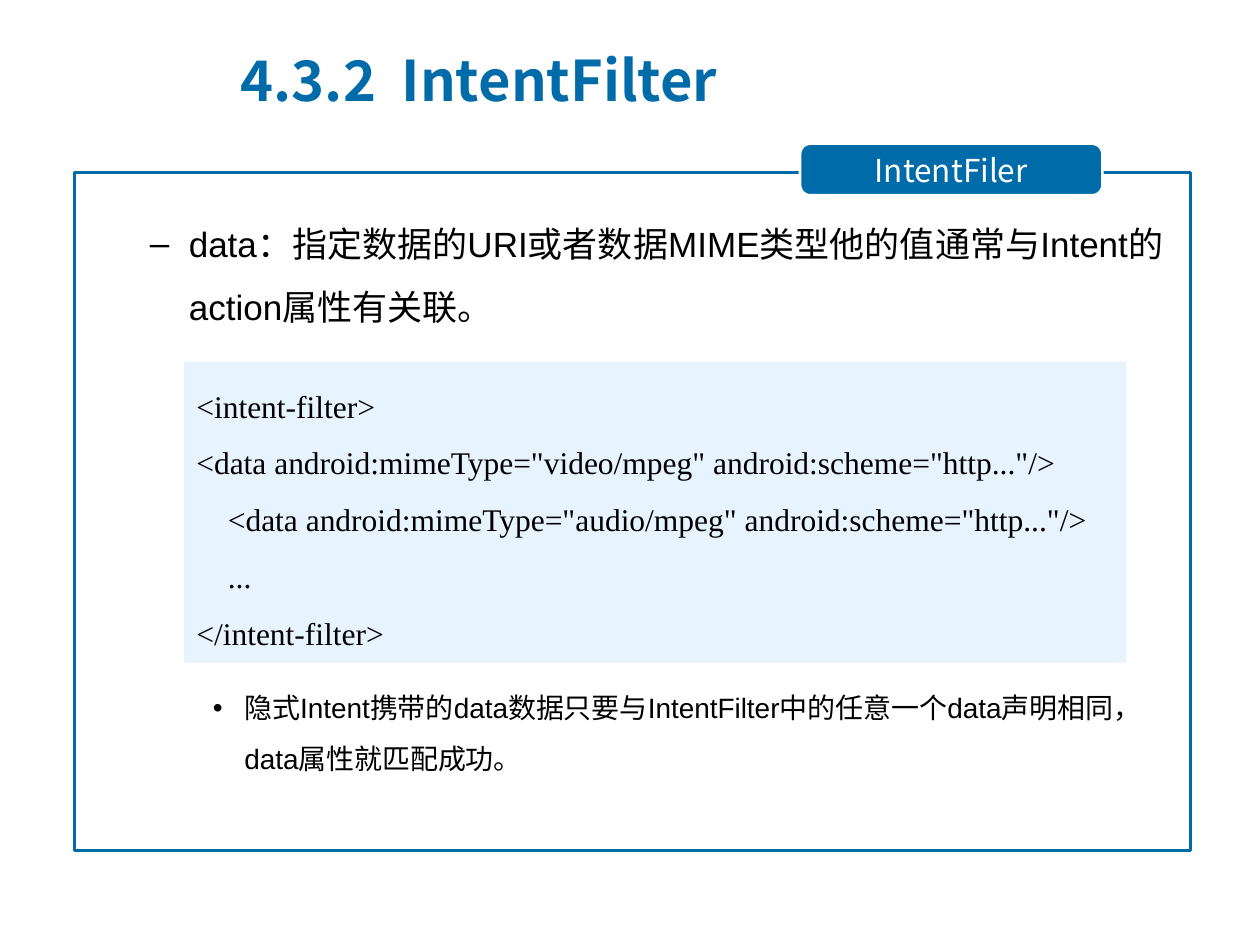
from pptx import Presentation
from pptx import util as u
from pptx.dml.color import RGBColor
from pptx.enum import shapes, text
from pptx.oxml.ns import qn

BLUE = RGBColor(0x00, 0x6B, 0xA9)
PALE_BLUE = RGBColor(0xE7, 0xF4, 0xFF)
WHITE = RGBColor(0xFF, 0xFF, 0xFF)
BLACK = RGBColor(0x00, 0x00, 0x00)
CJK_FONT = "Noto Sans CJK SC"

# Code lines with their indent in inches
CODE = [
    ("<intent-filter>", 0),
    ('<data android:mimeType="video/mpeg" android:scheme="http..."/>', 0),
    ('<data android:mimeType="audio/mpeg" android:scheme="http..."/>', 0.25),
    ("...", 0.25),
    ("</intent-filter>", 0),
]


def format_runs(paragraph, size, color, font=CJK_FONT, bold=False):
    for run in paragraph.runs:
        run.font.size = u.Pt(size)
        run.font.color.rgb = color
        run.font.name = font
        run.font.bold = bold
        east_asian = run.font._element.makeelement(qn("a:ea"), {"typeface": CJK_FONT})
        run.font._element.find(qn("a:latin")).addnext(east_asian)


def set_indent(paragraph, left, first=0):
    properties = paragraph._p.get_or_add_pPr()
    properties.set("marL", str(u.Inches(left)))
    properties.set("indent", str(u.Inches(first)))
    return properties


def place(shape, left, top, width, height):
    shape.left, shape.top = u.Inches(left), u.Inches(top)
    shape.width, shape.height = u.Inches(width), u.Inches(height)


def add_box(slide, kind, box, fill=None, line=None):
    shape = slide.shapes.add_shape(kind, *map(u.Inches, box))
    shape.shadow.inherit = False
    if fill is None:
        shape.fill.background()
    else:
        shape.fill.solid()
        shape.fill.fore_color.rgb = fill
    if line is None:
        shape.line.fill.background()
    else:
        shape.line.color.rgb = line
        shape.line.width = u.Pt(1.5)
    return shape


def add_title(slide, wording):
    title = slide.shapes.title
    place(title, 1.81, 0.21, 5.63, 0.84)
    frame = title.text_frame
    frame.text = wording
    frame.auto_size = text.MSO_AUTO_SIZE.NONE
    frame.vertical_anchor = text.MSO_ANCHOR.MIDDLE
    paragraph = frame.paragraphs[0]
    paragraph.alignment = text.PP_ALIGN.LEFT
    set_indent(paragraph, 0.62, -0.62)
    format_runs(paragraph, 32, BLUE, bold=True)


def add_tab(slide, wording):
    tab = add_box(slide, shapes.MSO_SHAPE.ROUNDED_RECTANGLE,
                  (6.35, 1.14, 2.4, 0.41), BLUE, WHITE)
    tab.adjustments[0] = 0.2
    frame = tab.text_frame
    frame.text = wording
    frame.vertical_anchor = text.MSO_ANCHOR.MIDDLE
    frame.paragraphs[0].alignment = text.PP_ALIGN.CENTER
    format_runs(frame.paragraphs[0], 18, WHITE)


def add_bullet(slide, wording, box, mark, size, left, hanging):
    frame = slide.shapes.add_textbox(*map(u.Inches, box)).text_frame
    frame.word_wrap = True
    frame.text = wording
    paragraph = frame.paragraphs[0]
    paragraph.line_spacing = 1.5
    paragraph.space_before = u.Pt(size * 0.2)
    properties = set_indent(paragraph, left, -hanging)
    for tag, attributes in (("a:buFont", {"typeface": "Arial"}), ("a:buChar", {"char": mark})):
        properties.append(properties.makeelement(qn(tag), attributes))
    format_runs(paragraph, size, BLACK, "Arial")


def add_code(slide, lines):
    panel = add_box(slide, shapes.MSO_SHAPE.RECTANGLE, (1.46, 2.87, 7.48, 2.39), PALE_BLUE)
    frame = panel.text_frame
    frame.vertical_anchor = text.MSO_ANCHOR.TOP
    frame.text = "\n".join(wording for wording, _ in lines)
    for paragraph, (_, indent) in zip(frame.paragraphs, lines):
        paragraph.alignment = text.PP_ALIGN.LEFT
        paragraph.line_spacing = 1.5
        set_indent(paragraph, indent)
        format_runs(paragraph, 18, BLACK, "Times New Roman")


def main():
    presentation = Presentation()
    presentation.slide_width, presentation.slide_height = u.Inches(10), u.Inches(7.5)
    slide = presentation.slides.add_slide(presentation.slide_layouts[5])

    # Frame with its label, and the heading
    add_box(slide, shapes.MSO_SHAPE.RECTANGLE, (0.59, 1.37, 8.86, 5.38), line=BLUE)
    add_tab(slide, "IntentFiler")
    add_title(slide, "4.3.2  IntentFilter")

    # Explanation around the code sample
    add_bullet(slide, "data：指定数据的URI或者数据MIME类型他的值通常与Intent的action属性有关联。",
               (0.59, 1.55, 8.81, 1.2), "–", 20, 0.81, 0.31)
    add_code(slide, CODE)
    add_bullet(slide, "隐式Intent携带的data数据只要与IntentFilter中的任意一个data声明相同，data属性就匹配成功。",
               (0.59, 5.3, 8.81, 0.95), "•", 16, 1.25, 0.25)

    presentation.save("out.pptx")


if __name__ == "__main__":
    main()
